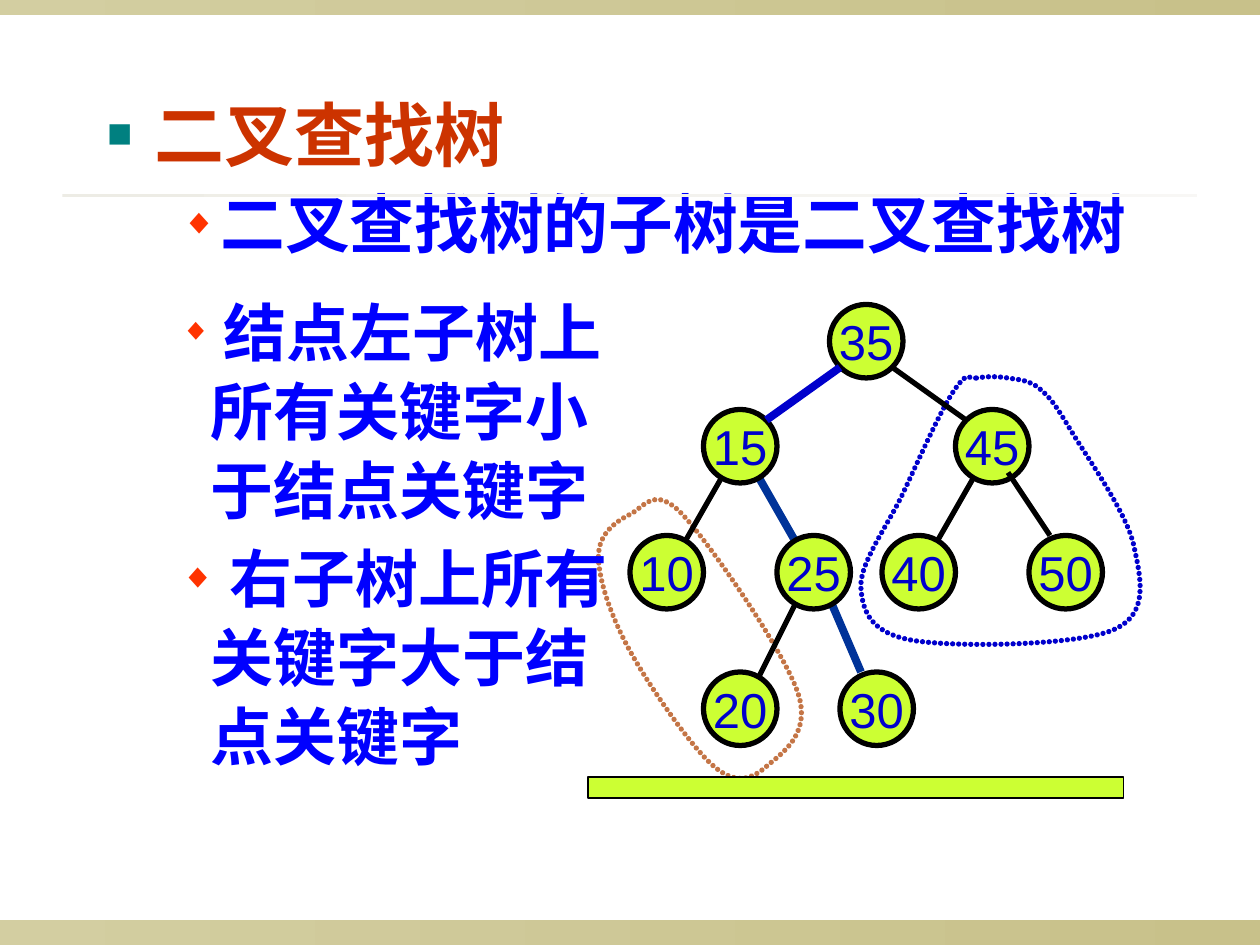
"""Build a slide on binary search trees with a sample tree and two outlined subtrees."""
import lxml.etree
import pptx
import pptx.dml.color
import pptx.enum.shapes
import pptx.enum.text
import pptx.oxml.ns
import pptx.util

Pt = pptx.util.Pt
RGBColor = pptx.dml.color.RGBColor
qn = pptx.oxml.ns.qn
SHAPES = pptx.enum.shapes.MSO_SHAPE

BAND_LEFT, BAND_RIGHT = RGBColor(0xD3, 0xCE, 0xA1), RGBColor(0xC8, 0xC1, 0x8A)
RULE_LEFT, RULE_RIGHT = RGBColor(0xED, 0xEC, 0xE5), RGBColor(0xF8, 0xF7, 0xF5)
RED = RGBColor(0xCC, 0x33, 0x00)
BLUE = RGBColor(0x00, 0x00, 0xFF)
DARK_BLUE = RGBColor(0x00, 0x00, 0xCC)
NAVY = RGBColor(0x00, 0x33, 0x99)
BROWN = RGBColor(0xC4, 0x75, 0x46)
LIME = RGBColor(0xCC, 0xFF, 0x33)
BLACK = RGBColor(0x00, 0x00, 0x00)


def format_bullet(para, symbol, color, percent, margin, indent, size, text_color):
    """Give a paragraph its bullet, hanging indent and bold font."""
    props = para._p.get_or_add_pPr()
    props.set("marL", str(Pt(margin)))
    props.set("indent", str(Pt(-indent)))
    bullet_color = lxml.etree.SubElement(props, qn("a:buClr"))
    lxml.etree.SubElement(bullet_color, qn("a:srgbClr"), val=color)
    lxml.etree.SubElement(props, qn("a:buSzPct"), val=str(percent * 1000))
    lxml.etree.SubElement(props, qn("a:buFont"), typeface="Arial")
    lxml.etree.SubElement(props, qn("a:buChar"), char=symbol)
    para.alignment = pptx.enum.text.PP_ALIGN.LEFT
    for span in para.runs:
        span.font.size = Pt(size)
        span.font.bold = True
        span.font.name = "Times New Roman"
        span.font.color.rgb = text_color
        lxml.etree.SubElement(span._r.get_or_add_rPr(), qn("a:ea"), typeface="Noto Sans CJK SC")


def draw_edges(edges):
    """Draw tree edges given as start x, start y, end x, end y, colour and width."""
    for x1, y1, x2, y2, color, width in edges:
        edge = page.shapes.add_connector(
            pptx.enum.shapes.MSO_CONNECTOR.STRAIGHT, Pt(x1), Pt(y1), Pt(x2), Pt(y2))
        edge.line.color.rgb = color
        edge.line.width = Pt(width)
        lxml.etree.SubElement(edge._element.spPr, qn("a:effectLst"))


deck = pptx.Presentation()
deck.slide_width, deck.slide_height = Pt(720), Pt(540)
page = deck.slides.add_slide(deck.slide_layouts[5])

for left, top, width, height, start, end in [
    (0, 525.6, 720, 14.4, BAND_LEFT, BAND_RIGHT),
    (0, 0, 720, 8.64, BAND_LEFT, BAND_RIGHT),
    (35.6, 110.6, 648.4, 1.8, RULE_LEFT, RULE_RIGHT),
]:
    band = page.shapes.add_shape(SHAPES.RECTANGLE, Pt(left), Pt(top), Pt(width), Pt(height))
    band.shadow.inherit = False
    band.line.fill.background()
    band.fill.gradient()
    band.fill.gradient_angle = 0
    for stop, color in zip(band.fill.gradient_stops, (start, end)):
        stop.color.rgb = color

title = page.shapes.title
title.left, title.top, title.width, title.height = Pt(54), Pt(54), Pt(618), Pt(108)
title.text_frame.auto_size = pptx.enum.text.MSO_AUTO_SIZE.NONE
title.text_frame.vertical_anchor = pptx.enum.text.MSO_ANCHOR.TOP
title.text_frame.text = "二叉查找树\n二叉查找树的子树是二叉查找树"
heading, subheading = title.text_frame.paragraphs
heading.line_spacing = Pt(42.4)
subheading.line_spacing = Pt(40.4)
subheading.space_before = Pt(9.2)
format_bullet(heading, "■", "008080", 60, 27, 27, 40, RED)
format_bullet(subheading, "◆", "FF3300", 55, 64.8, 22.3, 37, BLUE)

LEFT_SUBTREE = [
    (342, 318), (342, 305), (352, 298), (360, 294), (368, 290), (374, 277), (390, 294),
    (406, 311), (448, 372), (456, 396), (464, 420), (446, 431), (438, 438),
    (430, 445), (421, 449), (408, 438), (395, 427), (371, 392), (360, 372),
    (349, 352), (342, 331), (342, 318)]
RIGHT_SUBTREE = [
    (558, 216), (564, 215), (570, 215), (576, 216), (582, 217), (588, 217), (594, 222),
    (600, 227), (603, 231), (612, 246), (621, 261), (644, 293), (648, 312),
    (652, 331), (657, 351), (636, 360), (615, 369), (546, 370), (522, 366),
    (498, 362), (493, 350), (492, 336), (491, 322), (507, 301), (516, 282),
    (525, 263), (538, 233), (546, 222), (554, 211), (553, 217), (558, 216)]
for controls, color in [(LEFT_SUBTREE, BROWN), (RIGHT_SUBTREE, DARK_BLUE)]:
    points = [(Pt(x), Pt(y)) for x, y in controls]
    builder = page.shapes.build_freeform(*points[0])
    builder.add_line_segments(points[1:], close=True)
    outline = builder.convert_to_shape()
    segments = list(outline._element.iter(qn("a:lnTo")))
    for first in range(0, len(segments), 3):
        curve = lxml.etree.Element(qn("a:cubicBezTo"))
        segments[first].addprevious(curve)
        for segment in segments[first:first + 3]:
            curve.append(segment[0])
            segment.getparent().remove(segment)
    outline.shadow.inherit = False
    outline.fill.background()
    outline.line.color.rgb = color
    outline.line.width = Pt(3)
    stroke = outline._element.spPr.find(qn("a:ln"))
    stroke.set("cap", "rnd")
    dashes = lxml.etree.SubElement(stroke, qn("a:custDash"))
    lxml.etree.SubElement(dashes, qn("a:ds"), d="100000", sp="15000")

draw_edges([
    (558, 270, 534, 312, BLACK, 3),
    (474, 342, 492, 384, NAVY, 4.5),
    (456, 342, 432, 390, BLACK, 3),
    (414, 270, 390, 312, BLACK, 3),
    (432, 270, 456, 312, NAVY, 4.5),
])

NODE_SIZE = 42
for key, left, top in [
    (35, 474, 174), (15, 402, 234), (45, 546, 234), (50, 588, 306), (40, 504, 306),
    (25, 444, 306), (10, 360, 306), (20, 402, 384), (30, 480, 384),
]:
    node = page.shapes.add_shape(
        SHAPES.OVAL, Pt(left), Pt(top), Pt(NODE_SIZE), Pt(NODE_SIZE))
    node.shadow.inherit = False
    node.fill.solid()
    node.fill.fore_color.rgb = LIME
    node.line.color.rgb = BLACK
    node.line.width = Pt(3)
    node.text_frame.word_wrap = False
    node.text_frame.vertical_anchor = pptx.enum.text.MSO_ANCHOR.MIDDLE
    node.text_frame.text = str(key)
    para = node.text_frame.paragraphs[0]
    para.alignment = pptx.enum.text.PP_ALIGN.CENTER
    font = para.runs[0].font
    font.name = "Arial"
    font.size = Pt(28)
    font.color.rgb = DARK_BLUE

draw_edges([
    (480, 210, 438, 240, DARK_BLUE, 4.5),
    (510, 210, 552, 240, BLACK, 3),
    (576, 270, 600, 306, BLACK, 3),
])

box = page.shapes.add_textbox(Pt(96), Pt(162), Pt(258), Pt(372))
box.text_frame.word_wrap = True
left_rule = box.text_frame.paragraphs[0]
right_rule = box.text_frame.add_paragraph()
for text in (" ", "结点左子树上所有关键字小于结点关键字"):
    left_rule.add_run().text = text
right_rule.text = " 右子树上所有关键字大于结点关键字"
right_rule.space_before = Pt(5)
for para in (left_rule, right_rule):
    para.line_spacing = Pt(45.2)
    format_bullet(para, "◆", "FF3300", 55, 17.2, 17.2, 36, BLUE)
left_rule.runs[0].font.size = Pt(32)

bar = page.shapes.add_shape(SHAPES.RECTANGLE, Pt(336), Pt(444), Pt(306), Pt(12))
bar.shadow.inherit = False
bar.fill.solid()
bar.fill.fore_color.rgb = LIME
bar.line.color.rgb = BLACK
bar.line.width = Pt(0.75)

deck.save("out.pptx")
